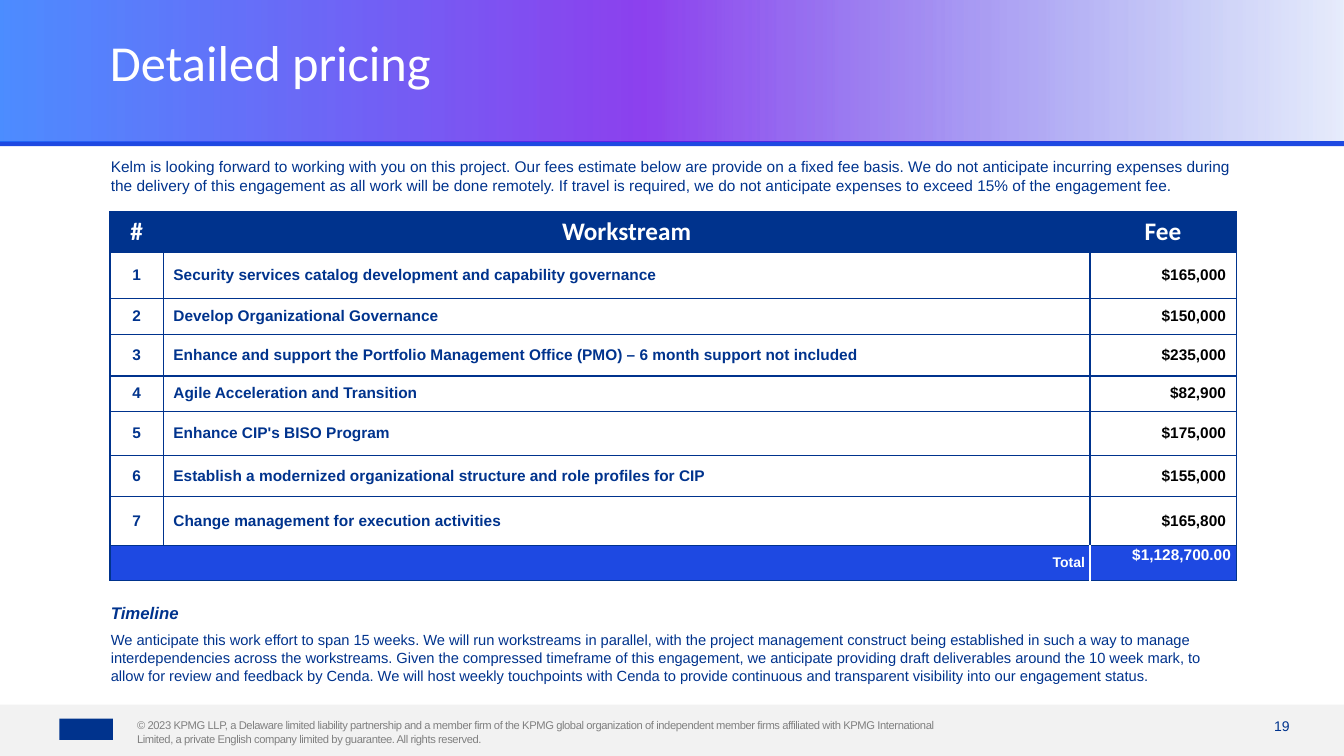
"""Build the detailed pricing slide."""
from dataclasses import dataclass

from lxml.etree import SubElement
from pptx import Presentation
from pptx.dml.color import RGBColor
from pptx.enum.shapes import MSO_SHAPE as Preset
from pptx.enum.text import MSO_ANCHOR as Anchor, PP_ALIGN as Align
from pptx.oxml.ns import qn
from pptx.shapes.autoshape import Shape
from pptx.slide import Slide
from pptx.table import _Cell as Cell
from pptx.text.text import TextFrame, _Paragraph as Paragraph
from pptx.util import Inches, Pt


@dataclass(frozen=True)
class Theme:
    navy: str = "00338D"
    blue: str = "1E49E2"
    violet: str = "7213EA"
    azure: str = "2272FF"
    white: str = "FFFFFF"
    black: str = "000000"
    gray: str = "808080"
    footer: str = "F2F2F2"
    heading_font: str = "Calibri"
    body_font: str = "Arial"
    title_size: float = 36
    header_size: float = 18
    subhead_size: float = 12
    body_size: float = 11
    timeline_size: float = 10.5
    small_size: float = 10
    legal_size: float = 8


THEME = Theme()


@dataclass(frozen=True)
class Style:
    size: float
    color: str = THEME.navy
    font: str = THEME.body_font
    bold: bool = False
    italic: bool = False
    spacing: int = 0


@dataclass(frozen=True)
class Line:
    text: str
    style: Style
    align: Align = Align.LEFT
    after: float = 0
    leading: float = 1.0


@dataclass(frozen=True)
class Block:
    left: float
    top: float
    width: float
    height: float
    lines: tuple[Line, ...]
    anchor: Anchor = Anchor.TOP


@dataclass(frozen=True)
class Band:
    left: float
    top: float
    width: float
    height: float
    color: str


@dataclass(frozen=True)
class Workstream:
    name: str
    fee: str
    height: float


WORKSTREAMS = (
    Workstream("Security services catalog development and capability governance", "$165,000", 0.46),
    Workstream("Develop Organizational Governance", "$150,000", 0.36),
    Workstream("Enhance and support the Portfolio Management Office (PMO) – 6 month support not included",
               "$235,000", 0.41),
    Workstream("Agile Acceleration and Transition", "$82,900", 0.35),
    Workstream("Enhance CIP's BISO Program", "$175,000", 0.44),
    Workstream("Establish a modernized organizational structure and role profiles for CIP", "$155,000", 0.41),
    Workstream("Change management for execution activities", "$165,800", 0.48),
)
BANDS = (
    Band(0, 1.4, 13.33, 0.05, THEME.blue),
    Band(0, 6.99, 13.33, 0.51, THEME.footer),
    Band(0.59, 7.13, 0.53, 0.21, THEME.navy),
)
BLOCKS = (
    Block(1.36, 7.13, 8.1, 0.27, (Line(
        "© 2023 KPMG LLP, a Delaware limited liability partnership and a member firm of the KPMG global "
        "organization of independent member firms affiliated with KPMG International Limited, a private "
        "English company limited by guarantee. All rights reserved.",
        Style(THEME.legal_size, THEME.gray, spacing=-30)),)),
    Block(12.26, 7.13, 0.53, 0.16, (Line("19", Style(THEME.small_size), Align.RIGHT),), Anchor.BOTTOM),
    Block(1.09, 0.47, 11.16, 0.58, (Line(
        "Detailed pricing", Style(THEME.title_size, THEME.white, THEME.heading_font), leading=0.7),)),
    Block(1.1, 1.56, 11.16, 0.42, (Line(
        "Kelm is looking forward to working with you on this project. Our fees estimate below are provide "
        "on a fixed fee basis. We do not anticipate incurring expenses during the delivery of this "
        "engagement as all work will be done remotely. If travel is required, we do not anticipate "
        "expenses to exceed 15% of the engagement fee.", Style(THEME.body_size), after=6),)),
    Block(1.1, 5.98, 11.17, 0.87, (
        Line("Timeline", Style(THEME.subhead_size, bold=True, italic=True), after=6),
        Line("We anticipate this work effort to span 15 weeks. We will run workstreams in parallel, with the "
             "project management construct being established in such a way to manage interdependencies "
             "across the workstreams. Given the compressed timeframe of this engagement, we anticipate "
             "providing draft deliverables around the 10 week mark, to allow for review and feedback by "
             "Cenda. We will host weekly touchpoints with Cenda to provide continuous and transparent "
             "visibility into our engagement status.", Style(THEME.timeline_size), after=6))),
)


def write_line(paragraph: Paragraph, line: Line) -> None:
    """Write one styled line into a paragraph."""
    paragraph.alignment = line.align
    paragraph.space_after = Pt(line.after)
    paragraph.line_spacing = line.leading
    run = paragraph.add_run()
    run.text = line.text
    font, style = run.font, line.style
    font.size, font.name, font.bold, font.italic = Pt(style.size), style.font, style.bold, style.italic
    font.color.rgb = RGBColor.from_string(style.color)
    if style.spacing:
        run._r.get_or_add_rPr().set("spc", str(style.spacing))


def set_margins(target: TextFrame | Cell, *margins: float) -> None:
    """Set left, top, right and bottom margins."""
    (target.margin_left, target.margin_top,
     target.margin_right, target.margin_bottom) = map(Inches, margins)


def draw_block(slide: Slide, block: Block) -> None:
    """Draw a block of wrapped text."""
    box = slide.shapes.add_textbox(*map(Inches, (block.left, block.top, block.width, block.height)))
    frame = box.text_frame
    frame.word_wrap = True
    frame.vertical_anchor = block.anchor
    set_margins(frame, 0, 0, 0, 0)
    for index, line in enumerate(block.lines):
        write_line(frame.add_paragraph() if index else frame.paragraphs[0], line)


def draw_band(slide: Slide, band: Band) -> Shape:
    """Draw a plain filled rectangle."""
    shape = slide.shapes.add_shape(
        Preset.RECTANGLE, *map(Inches, (band.left, band.top, band.width, band.height)))
    shape.shadow.inherit = False
    shape.line.fill.background()
    shape.fill.solid()
    shape.fill.fore_color.rgb = RGBColor.from_string(band.color)
    return shape


def draw_header(slide: Slide) -> None:
    """Draw the title band with its translucent gradient."""
    header = draw_band(slide, Band(0, 0, 13.33, 1.4, THEME.blue))
    header.fill.gradient()
    header.fill.gradient_angle = 180
    stops = header._element.spPr.find(qn("a:gradFill")).find(qn("a:gsLst"))
    stops.clear()
    for position, color, opacity in ((0, THEME.blue, 10), (52, THEME.violet, 80), (100, THEME.azure, 80)):
        stop = SubElement(stops, qn("a:gs"), pos=str(position * 1000))
        tint = SubElement(stop, qn("a:srgbClr"), val=color)
        SubElement(tint, qn("a:alpha"), val=str(opacity * 1000))


def fill_cell(cell: Cell, line: Line | None, fill: str = "", anchor: Anchor = Anchor.MIDDLE,
              left: str = THEME.navy, right: str = THEME.navy) -> None:
    """Give a cell its borders, fill and text."""
    cell.vertical_anchor = anchor
    for side, color in (("L", left), ("R", right), ("T", THEME.navy), ("B", THEME.navy)):
        border = SubElement(cell._tc.get_or_add_tcPr(), qn(f"a:ln{side}"), w=str(Pt(1)))
        SubElement(SubElement(border, qn("a:solidFill")), qn("a:srgbClr"), val=color)
    if fill:
        cell.fill.solid()
        cell.fill.fore_color.rgb = RGBColor.from_string(fill)
    else:
        cell.fill.background()
    if line:
        write_line(cell.text_frame.paragraphs[0], line)


def draw_pricing(slide: Slide) -> None:
    """Draw the table of workstreams, fees and total."""
    heights = (0.38, *(stream.height for stream in WORKSTREAMS), 0.35)
    total_row = len(heights) - 1
    table = slide.shapes.add_table(len(heights), 3, *map(Inches, (1.09, 2.1, 11.17, sum(heights)))).table
    table.first_row = table.horz_banding = False
    for column, width in zip(table.columns, (0.53, 9.19, 1.45)):
        column.width = Inches(width)
    for row, height in zip(table.rows, heights):
        row.height = Inches(height)
    heading = Style(THEME.header_size, THEME.white, THEME.heading_font, bold=True)
    for column, label in enumerate(("#", "Workstream", "Fee")):
        fill_cell(table.cell(0, column), Line(label, heading, Align.CENTER), THEME.navy, Anchor.TOP)
    label_style = Style(THEME.body_size, bold=True)
    fee_style = Style(THEME.body_size, THEME.black, bold=True)
    for number, stream in enumerate(WORKSTREAMS, 1):
        lines = (Line(str(number), label_style, Align.CENTER), Line(stream.name, label_style),
                 Line(stream.fee, fee_style, Align.RIGHT, after=3))
        for column, line in enumerate(lines):
            fill_cell(table.cell(number, column), line)
    total, spanned, amount = (table.cell(total_row, column) for column in range(3))
    total.merge(spanned)
    set_margins(total, 0.05, 0.05, 0.05, 0.05)
    set_margins(amount, 0.01, 0.01, 0.05, 0)
    fill_cell(total, Line("Total", Style(THEME.small_size, THEME.white, bold=True), Align.RIGHT),
              THEME.blue, right=THEME.white)
    fill_cell(spanned, None, THEME.blue, right=THEME.white)
    fill_cell(amount, Line("$1,128,700.00", Style(THEME.body_size, THEME.white, bold=True), Align.RIGHT),
              THEME.blue, Anchor.TOP, left=THEME.white)


def main() -> None:
    """Assemble and save the slide."""
    deck = Presentation()
    deck.slide_width, deck.slide_height = Inches(13.33), Inches(7.5)
    slide = deck.slides.add_slide(deck.slide_layouts[6])
    for band in BANDS:
        draw_band(slide, band)
    draw_header(slide)
    for block in BLOCKS:
        draw_block(slide, block)
    draw_pricing(slide)
    deck.save("out.pptx")


if __name__ == "__main__":
    main()
